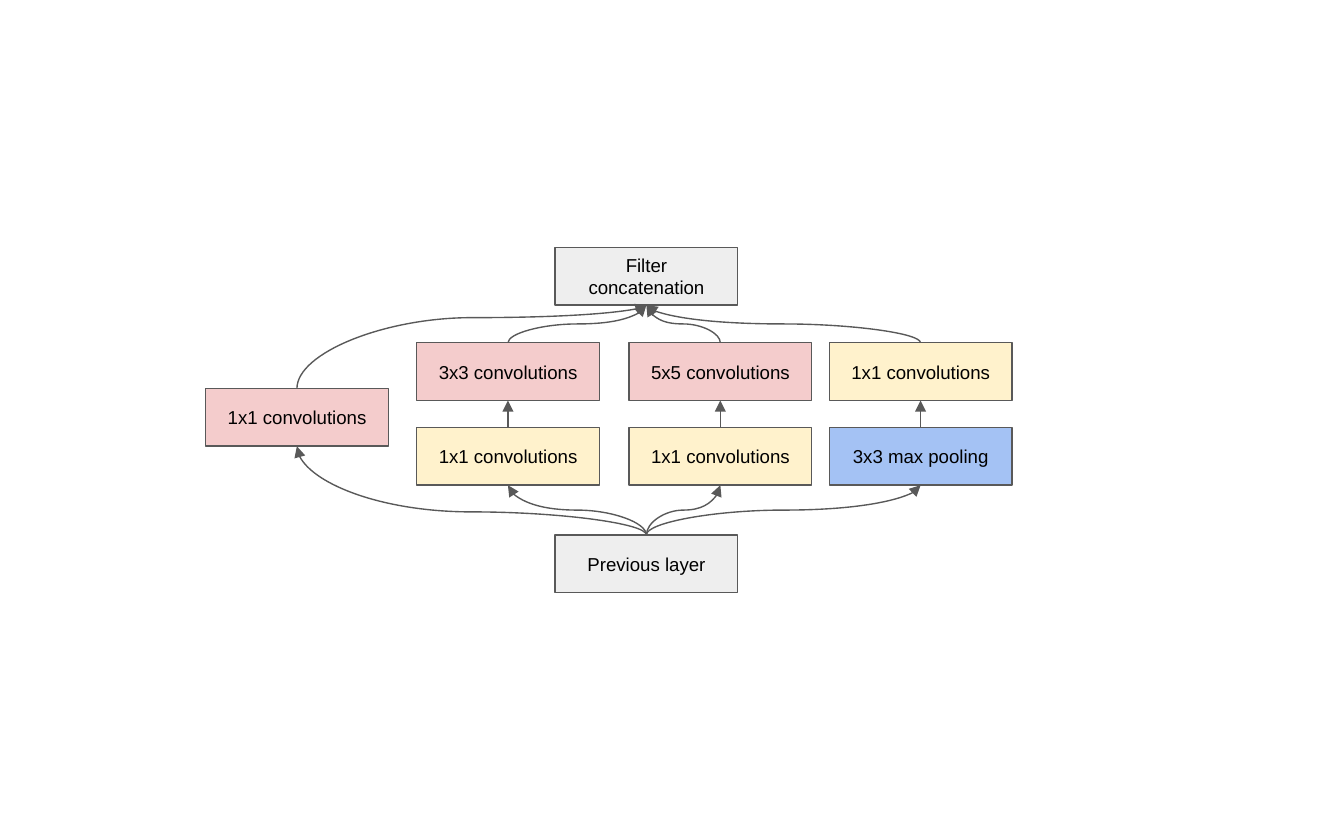
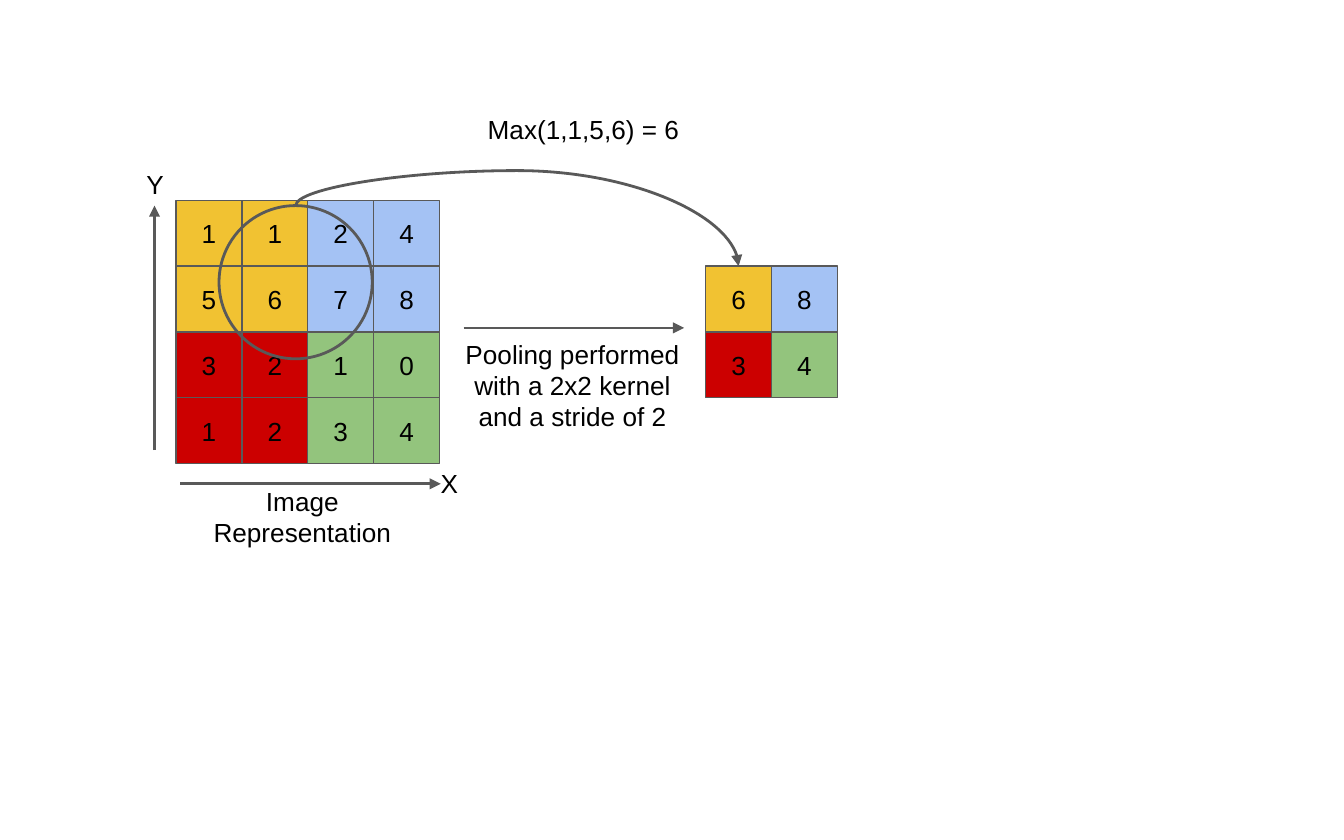
from lxml import etree
from pptx import Presentation
from pptx.dml.color import RGBColor
from pptx.enum.shapes import MSO_CONNECTOR, MSO_SHAPE
from pptx.enum.text import MSO_ANCHOR, PP_ALIGN
from pptx.oxml.ns import qn
from pptx.util import Inches, Pt

RECT, OVAL = MSO_SHAPE.RECTANGLE, MSO_SHAPE.OVAL
LINE, CURVE = MSO_CONNECTOR.STRAIGHT, MSO_CONNECTOR.CURVE
LEFT, CENTER = PP_ALIGN.LEFT, PP_ALIGN.CENTER
TOP, MIDDLE = MSO_ANCHOR.TOP, MSO_ANCHOR.MIDDLE
HEAD, FOOT = 0, 2

FONT = "Arial"
INK, EDGE = "000000", "595959"
GREY, PINK, CREAM, BLUE = "EEEEEE", "F4CCCC", "FFF2CC", "A4C2F4"
GOLD, RED, GREEN = "F1C232", "CC0000", "93C47D"
CELL = 0.49


def color(code):
    return RGBColor.from_string(code)


def write(shape, text, size, align=CENTER, anchor=MIDDLE):
    frame = shape.text_frame
    frame.text = text
    frame.word_wrap = True
    frame.vertical_anchor = anchor
    frame.margin_left = frame.margin_right = Inches(0.1)
    frame.margin_top = frame.margin_bottom = Inches(0.1)
    for para in frame.paragraphs:
        para.alignment = align
        for run in para.runs:
            run.font.name = FONT
            run.font.size = Pt(size)
            run.font.color.rgb = color(INK)


def draw(slide, kind, box, fill=None, width=0.75):
    shape = slide.shapes.add_shape(kind, *map(Inches, box))
    shape.shadow.inherit = False
    if fill:
        shape.fill.solid()
        shape.fill.fore_color.rgb = color(fill)
    else:
        shape.fill.background()
    shape.line.color.rgb = color(EDGE)
    shape.line.width = Pt(width)
    return shape


def block(slide, box, text, fill, size):
    shape = draw(slide, RECT, box, fill)
    write(shape, text, size)
    return shape


def label(slide, box, text, align=CENTER, anchor=TOP):
    write(slide.shapes.add_textbox(*map(Inches, box)), text, 14, align, anchor)


def style(link, width):
    link.line.color.rgb = color(EDGE)
    link.line.width = Pt(width)
    etree.SubElement(link.line._get_or_add_ln(), qn("a:tailEnd"), type="triangle")
    etree.SubElement(link._element.spPr, qn("a:effectLst"))


def arrow(slide, start, end, width=1.5):
    link = slide.shapes.add_connector(LINE, *map(Inches, start + end))
    style(link, width)


def bend(slide, start, end, sites=(HEAD, FOOT), adjust=0.5, width=0.75):
    link = slide.shapes.add_connector(CURVE, 0, 0, 0, 0)
    link.begin_connect(start, sites[0])
    link.end_connect(end, sites[1])
    dx = link.end_x - link.begin_x
    dy = link.end_y - link.begin_y
    mid_x = (link.begin_x + link.end_x) // 2
    mid_y = (link.begin_y + link.end_y) // 2
    link.width, link.height = abs(dy), abs(dx)
    link.left = mid_x - abs(dy) // 2
    link.top = mid_y - abs(dx) // 2
    frame = link._element.spPr.xfrm
    frame.set("rot", str((270 if dx >= 0 else 90) * 60000))
    frame.set("flipH", str(int((dx >= 0) == (dy > 0))))
    frame.set("flipV", "0")
    shape = link._element.spPr.find(qn("a:prstGeom"))
    guides = shape.find(qn("a:avLst"))
    if guides is None:
        guides = etree.SubElement(shape, qn("a:avLst"))
    etree.SubElement(guides, qn("a:gd"), name="adj1",
                     fmla=f"val {round(adjust * 100000)}")
    style(link, width)


def module(slide, left, top):
    def node(x, y, text, fill):
        return block(slide, (left + x, top + y, 1.36, 0.43), text, fill, 10)

    base = node(2.6, 2.14, "Previous layer", GREY)
    side = node(0, 1.05, "1x1 convolutions", PINK)
    paths = [
        (1.57, ("1x1 convolutions", CREAM), ("3x3 convolutions", PINK)),
        (3.15, ("1x1 convolutions", CREAM), ("5x5 convolutions", PINK)),
        (4.64, ("3x3 max pooling", BLUE), ("1x1 convolutions", CREAM)),
    ]
    pairs = [(node(x, 1.34, *low), node(x, 0.71, *high))
             for x, low, high in paths]
    merge = node(2.6, 0, "Filter concatenation", GREY)

    bend(slide, base, side, adjust=0.26)
    bend(slide, side, merge, adjust=0.85)
    for low, high in pairs:
        bend(slide, base, low)
        bend(slide, low, high)
        bend(slide, high, merge)


def grid(slide, left, top, rows):
    half = len(rows) // 2
    fills = ((GOLD, BLUE), (RED, GREEN))
    return [
        block(slide, (left + c * CELL, top + r * CELL, CELL, CELL),
              value, fills[r // half][c // half], 14)
        for r, row in enumerate(rows)
        for c, value in enumerate(row)
    ]


def axes(slide, left, top):
    arrow(slide, (left + 0.03, top + 2.11), (left + 1.97, top + 2.11))
    arrow(slide, (left - 0.16, top + 1.86), (left - 0.16, top + 0.04))
    label(slide, (left, top + 2.02, 1.88, 0.76), "Image Representation")
    label(slide, (left - 0.32, top - 0.34, CELL, 0.76), "Y", LEFT)
    label(slide, (left + 1.87, top + 1.89, CELL, 0.76), "X", LEFT)


def pooling(slide, left, top):
    grid(slide, left, top, ("1124", "5678", "3210", "1234"))
    cells = grid(slide, left + 3.94, top + CELL, ("68", "34"))
    axes(slide, left, top)
    ring = draw(slide, OVAL, (left + 0.32, top + 0.04, 1.14, 1.14), width=1.5)
    bend(slide, ring, cells[0], (HEAD, HEAD), -0.58, 1.5)
    label(slide, (left + 2.22, top - 0.75, 1.88, 0.76), "Max(1,1,5,6) = 6", LEFT)
    arrow(slide, (left + 2.14, top + 0.95), (left + 3.78, top + 0.95), 0.75)
    label(slide, (left + 1.94, top + 0.89, 2.02, 0.97),
          "Pooling performed with a 2x2 kernel and a stride of 2", anchor=MIDDLE)


def main():
    deck = Presentation()
    deck.slide_width, deck.slide_height = Inches(10), Inches(6.25)
    blank = deck.slide_layouts[6]
    module(deck.slides.add_slide(blank), 1.53, 1.84)
    pooling(deck.slides.add_slide(blank), 1.31, 1.49)
    deck.save("out.pptx")


if __name__ == "__main__":
    main()
